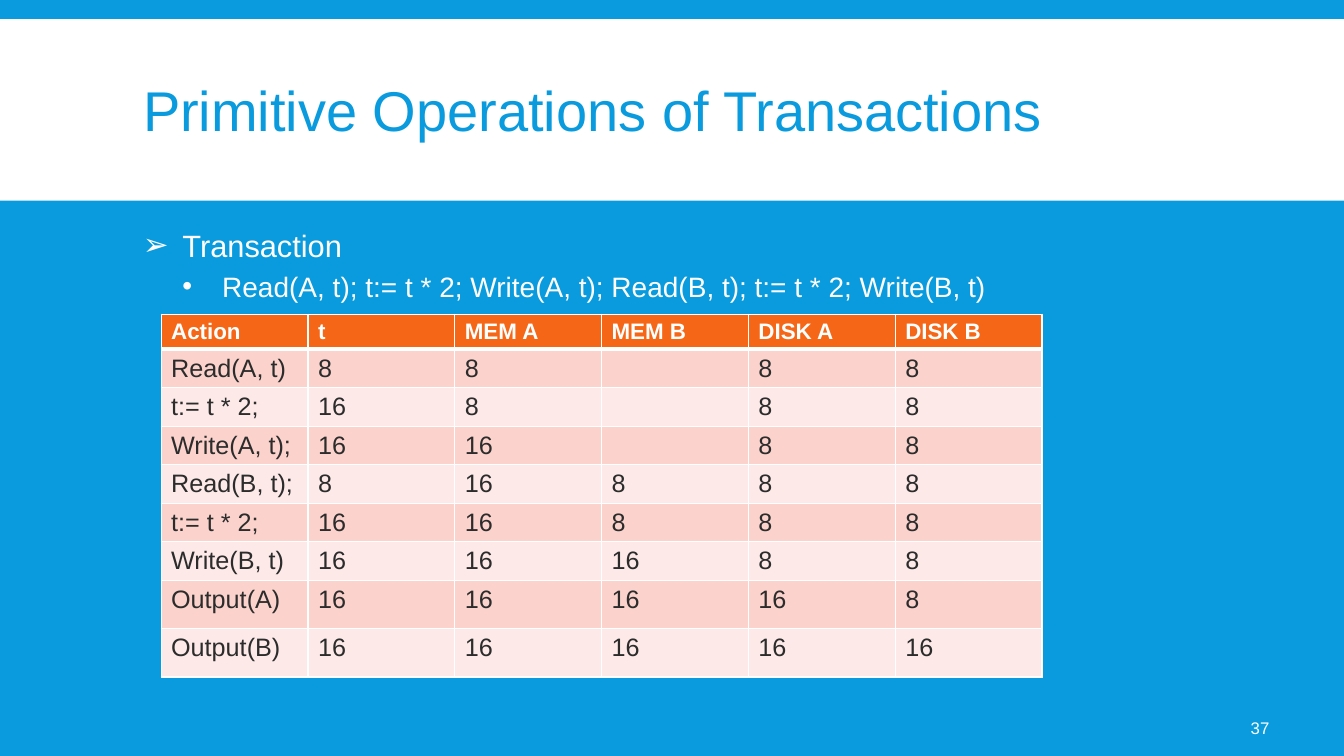
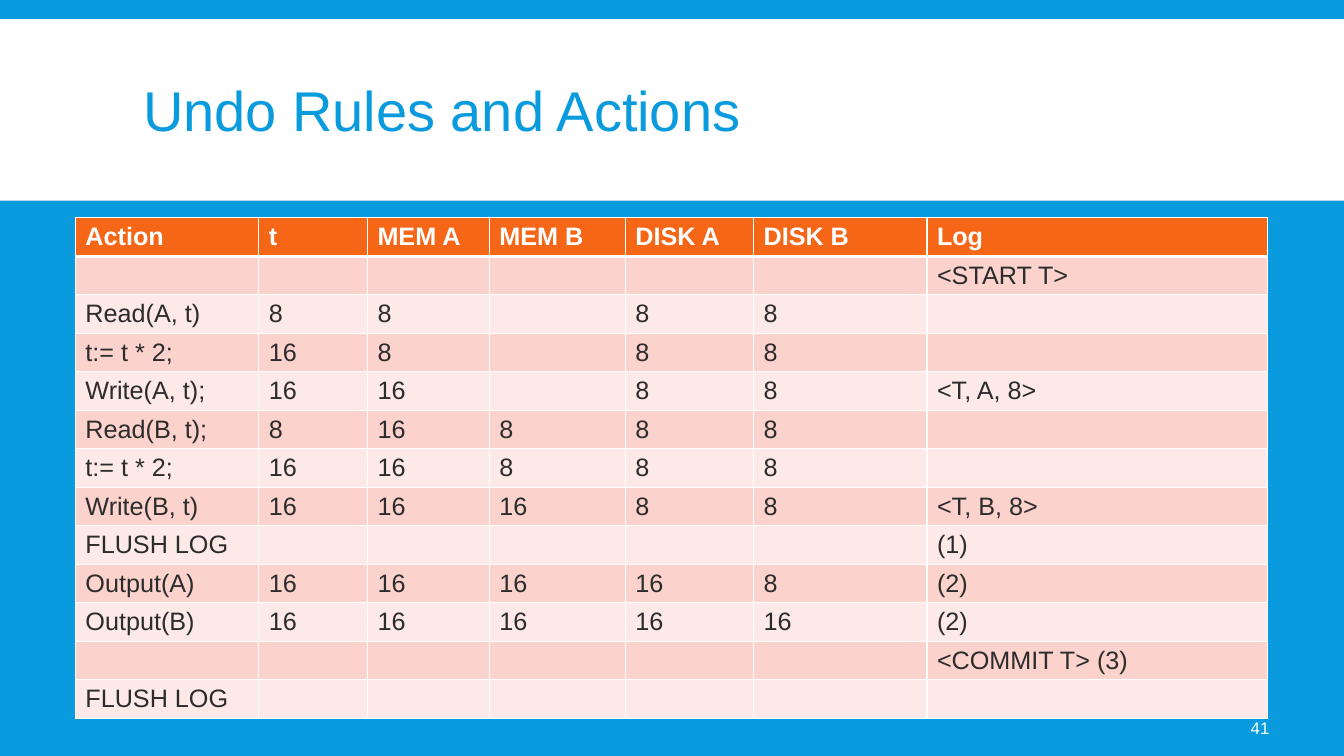
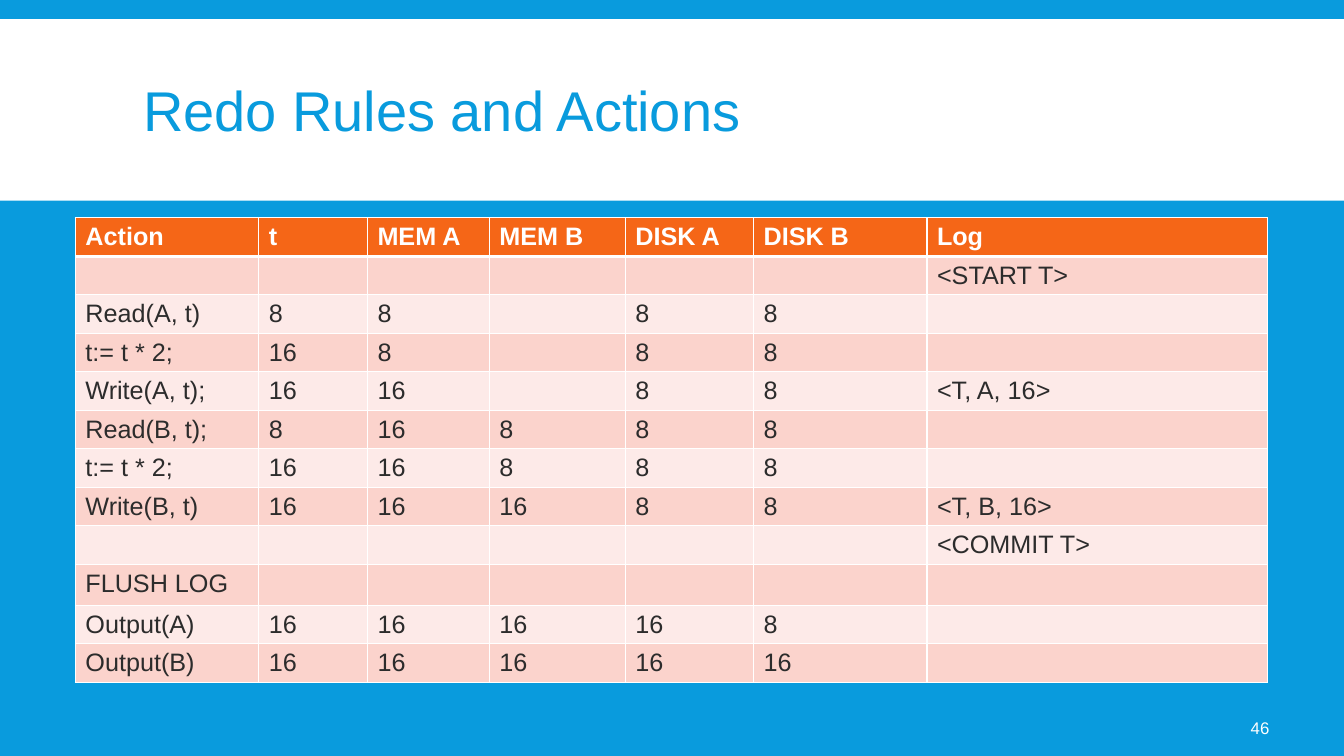
from dataclasses import dataclass

from lxml import etree
from pptx import Presentation
from pptx import util as u
from pptx.dml.color import RGBColor
from pptx.enum import shapes, text
from pptx.oxml import ns


@dataclass(frozen=True)
class Theme:
    font: str = "Arial"
    blue: str = "099BDD"
    white: str = "FFFFFF"
    ink: str = "2C2C2C"
    orange: str = "F56617"
    stripes: tuple = ("FDEAE8", "FBD3CC")
    title: int = 40
    bullets: tuple = (22, 20)
    cell: int = 18
    number: int = 12
    thin: float = 1
    thick: float = 3


def write(para, words, size, color, font=Theme.font, bold=False, align=None):
    span = para.add_run()
    span.text = words
    span.font.name = font
    span.font.size = u.Pt(size)
    span.font.bold = bold
    span.font.color.rgb = RGBColor.from_string(color)
    para.alignment = align
    return span


class Lecture:
    def __init__(self, theme):
        self.theme = theme
        self.deck = Presentation()
        self.deck.slide_width = u.Cm(33.87)
        self.deck.slide_height = u.Cm(19.05)
        self.page = None
        self.paint(self.deck.slide_master.background, theme.blue)

    def paint(self, item, color):
        item.fill.solid()
        item.fill.fore_color.rgb = RGBColor.from_string(color)

    def add_page(self, heading, number):
        self.page = self.deck.slides.add_slide(self.deck.slide_layouts[5])
        self.add_band()
        self.set_title(heading)
        self.add_number(number)

    def add_band(self):
        band = self.page.shapes.add_shape(
            shapes.MSO_SHAPE.RECTANGLE, 0, u.Cm(0.48), self.deck.slide_width, u.Cm(4.58))
        band.shadow.inherit = False
        self.paint(band, self.theme.white)
        band.line.fill.background()
        self.page.shapes.title.element.addprevious(band.element)

    def set_title(self, heading):
        title = self.page.shapes.title
        title.left, title.top = u.Cm(3.35), u.Cm(0.79)
        title.width, title.height = u.Cm(27.18), u.Cm(4.19)
        frame = title.text_frame
        frame.auto_size = text.MSO_AUTO_SIZE.NONE
        frame.vertical_anchor = text.MSO_ANCHOR.MIDDLE
        para = frame.paragraphs[0]
        para.line_spacing = 0.85
        write(para, heading, self.theme.title, self.theme.blue, align=text.PP_ALIGN.LEFT)

    def add_text_box(self, left, top, width, height):
        box = self.page.shapes.add_textbox(u.Cm(left), u.Cm(top), u.Cm(width), u.Cm(height))
        box.text_frame.word_wrap = True
        return box.text_frame

    def add_number(self, number):
        frame = self.add_text_box(29.62, 17.83, 2.62, 1.02)
        frame.vertical_anchor = text.MSO_ANCHOR.MIDDLE
        write(frame.paragraphs[0], str(number), self.theme.number, self.theme.white,
              align=text.PP_ALIGN.RIGHT)

    def add_bullets(self, lines):
        frame = self.add_text_box(3.35, 5.59, 27.18, 11.68)
        for level, words in enumerate(lines):
            para = frame.add_paragraph() if level else frame.paragraphs[0]
            props = para._p.get_or_add_pPr()
            props.set("marL", str(u.Cm(level + 1)))
            props.set("indent", str(u.Cm(-1)))
            etree.SubElement(props, ns.qn("a:buFont"), typeface=self.theme.font)
            etree.SubElement(props, ns.qn("a:buChar"), char="➢•"[level])
            if level:
                para.space_before = u.Pt(2)
            para.space_after = u.Pt(4 if level else 2)
            write(para, words, self.theme.bullets[level], self.theme.white)

    def set_borders(self, cell, top, bottom):
        props = cell._tc.get_or_add_tcPr()
        thin = self.theme.thin
        edges = (("a:lnL", thin), ("a:lnR", thin), ("a:lnT", top), ("a:lnB", bottom))
        for place, (edge, weight) in enumerate(edges):
            line = etree.Element(ns.qn(edge), w=str(u.Pt(weight)))
            fill = etree.SubElement(line, ns.qn("a:solidFill"))
            etree.SubElement(fill, ns.qn("a:srgbClr"), val=self.theme.white)
            props.insert(place, line)

    def add_table(self, left, top, widths, heights, rows, header_size=Theme.cell):
        theme = self.theme
        table = self.page.shapes.add_table(
            len(rows), len(widths), u.Cm(left), u.Cm(top),
            u.Cm(sum(widths)), u.Cm(sum(heights))).table
        table.horz_banding = False
        for column, width in zip(table.columns, widths):
            column.width = u.Cm(width)
        for index, (row, height, values) in enumerate(zip(table.rows, heights, rows)):
            row.height = u.Cm(height)
            header = index == 0
            color = theme.white if header else theme.ink
            size = header_size if header else theme.cell
            for cell, value in zip(row.cells, values):
                cell.margin_bottom = 0
                self.paint(cell, theme.orange if header else theme.stripes[index % 2])
                self.set_borders(cell, theme.thick if index == 1 else theme.thin,
                                 theme.thick if header else theme.thin)
                if value:
                    write(cell.text_frame.paragraphs[0], value, size, color, bold=header)


HEADER = ("Action", "t", "MEM A", "MEM B", "DISK A", "DISK B")
STEPS = (
    ("Read(A, t)", "8", "8", "", "8", "8"),
    ("t:= t * 2;", "16", "8", "", "8", "8"),
    ("Write(A, t);", "16", "16", "", "8", "8"),
    ("Read(B, t);", "8", "16", "8", "8", "8"),
    ("t:= t * 2;", "16", "16", "8", "8", "8"),
    ("Write(B, t)", "16", "16", "16", "8", "8"),
)
OUTPUTS = (
    ("Output(A)", "16", "16", "16", "16", "8"),
    ("Output(B)", "16", "16", "16", "16", "16"),
)
BLANK = ("",) * len(HEADER)
FLUSH = ("FLUSH LOG",) + BLANK[1:]
LOG_WIDTHS = (4.62, 2.74, 3.07, 3.43, 3.23, 4.37, 8.59)
ROW = 0.97


def with_log(rows, entries):
    return [(*row, entry) for row, entry in zip(rows, entries)]


def main():
    lecture = Lecture(Theme())

    lecture.add_page("Primitive Operations of Transactions", 37)
    lecture.add_bullets((
        "Transaction",
        "Read(A, t); t:= t * 2; Write(A, t); Read(B, t); t:= t * 2; Write(B, t)",
    ))
    lecture.add_table(4.06, 7.92, [3.7] * len(HEADER), [0.88] + [ROW] * 6 + [1.22] * 2,
                      (HEADER, *STEPS, *OUTPUTS), header_size=16)

    lecture.add_page("Undo Rules and Actions", 41)
    undo = with_log(
        (HEADER, BLANK, *STEPS, FLUSH, *OUTPUTS, BLANK, FLUSH),
        ("Log", "<START T>", "", "", "<T, A, 8>", "", "", "<T, B, 8>",
         "(1)", "(2)", "(2)", "<COMMIT T> (3)", ""))
    lecture.add_table(1.9, 5.49, LOG_WIDTHS, [ROW] * len(undo), undo)

    lecture.add_page("Redo Rules and Actions", 46)
    redo = with_log(
        (HEADER, BLANK, *STEPS, BLANK, FLUSH, *OUTPUTS),
        ("Log", "<START T>", "", "", "<T, A, 16>", "", "", "<T, B, 16>",
         "<COMMIT T>", "", "", ""))
    lecture.add_table(1.9, 5.49, LOG_WIDTHS, [ROW] * 9 + [1.03] + [ROW] * 2, redo)

    lecture.deck.save("out.pptx")


if __name__ == "__main__":
    main()
